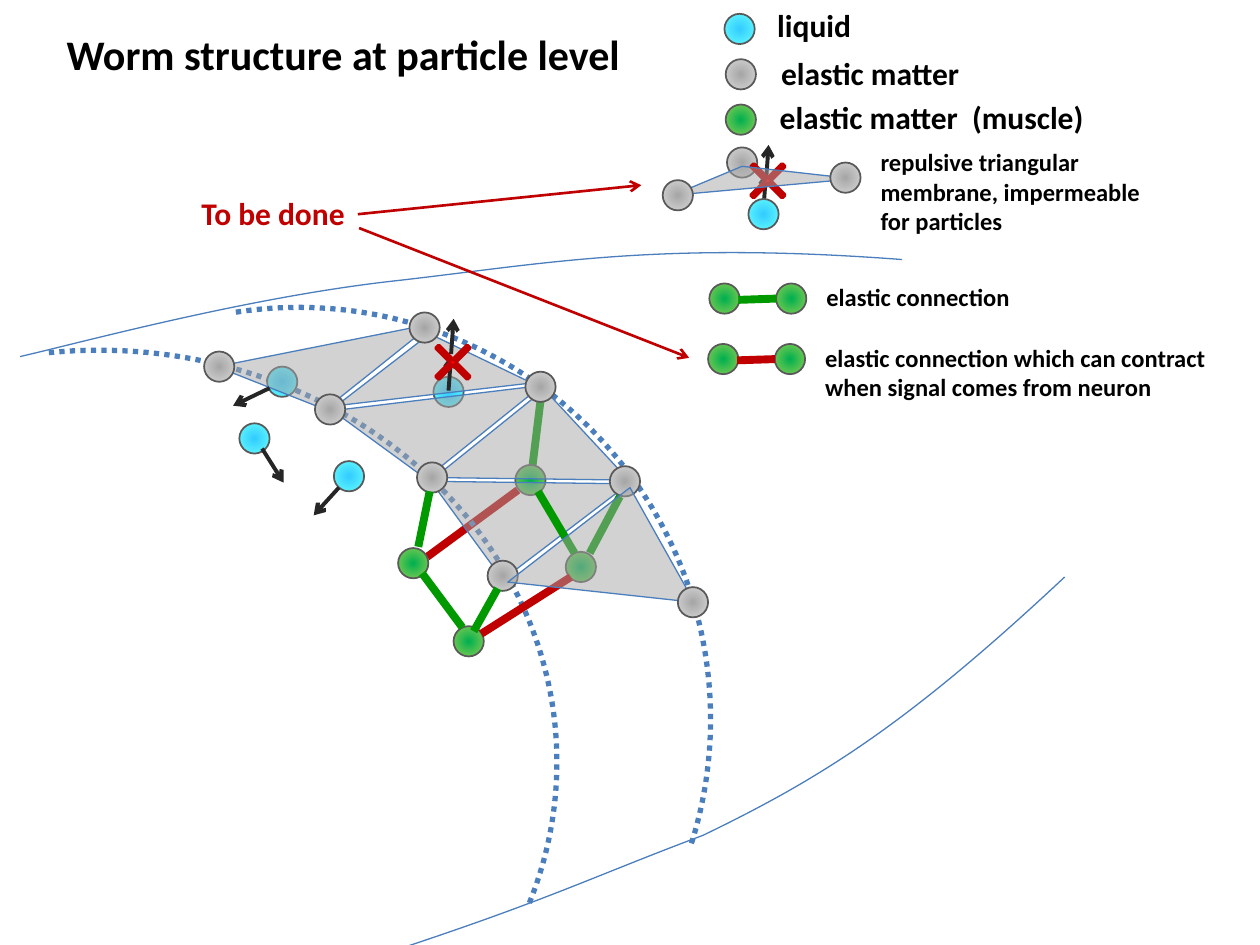
import lxml.etree
import pptx
import pptx.dml.color
import pptx.enum.dml
import pptx.enum.shapes
import pptx.enum.text
import pptx.oxml.ns
import pptx.util

RGBColor = pptx.dml.color.RGBColor
BLACK = RGBColor(0, 0, 0)
INK = RGBColor(0x26, 0x26, 0x26)
EDGE = RGBColor(0x59, 0x59, 0x59)
GREY = RGBColor(0xA6, 0xA6, 0xA6)
PALE_GREY = RGBColor(0xD9, 0xD9, 0xD9)
GREEN = RGBColor(0, 0xB0, 0x50)
PALE_GREEN = RGBColor(0x92, 0xD0, 0x50)
CYAN = RGBColor(0x33, 0xCC, 0xFF)
PALE_CYAN = RGBColor(0x66, 0xFF, 0xFF)
BLUE = RGBColor(0x4B, 0x7E, 0xBC)
LINK_GREEN = RGBColor(0, 0x99, 0)
RED = RGBColor(0xFF, 0, 0)
DARK_RED = RGBColor(0xC0, 0, 0)

ELASTIC = (GREY, PALE_GREY)
MUSCLE = (GREEN, PALE_GREEN)
LIQUID = (CYAN, PALE_CYAN)
BALL = 0.24
CROSS = 0.35

qn = pptx.oxml.ns.qn
presets = pptx.enum.shapes.MSO_SHAPE
deck = pptx.Presentation()
deck.slide_width = pptx.util.Inches(10)
deck.slide_height = pptx.util.Inches(7.5)
cell = deck.slide_width // 10
page = deck.slides.add_slide(deck.slide_layouts[6])


def outline(shape, color, width, arrow=False, dash=None):
    shape.line.color.rgb = color
    shape.line.width = pptx.util.Pt(width)
    if dash:
        shape.line.dash_style = dash
    props = shape._element.spPr
    if arrow:
        lxml.etree.SubElement(props.find(qn("a:ln")), qn("a:tailEnd"), type="arrow")
    lxml.etree.SubElement(props, qn("a:effectLst"))


def write(text, left, top, width, height, size=18, color=BLACK):
    box = page.shapes.add_textbox(*[int(v * cell) for v in (left, top, width, height)])
    frame = box.text_frame
    frame.word_wrap = False
    frame.auto_size = pptx.enum.text.MSO_AUTO_SIZE.SHAPE_TO_FIT_TEXT
    for number, line in enumerate(text.split("\n")):
        para = frame.paragraphs[0] if number == 0 else frame.add_paragraph()
        span = para.add_run()
        span.text = line
        span.font.name = "Calibri"
        span.font.size = pptx.util.Pt(size)
        span.font.bold = True
        span.font.color.rgb = color


layers = [
    ("link", DARK_RED, [(3.39, 4.42, 4.11, 3.89)]),
    ("ball", ELASTIC, [(5.77, 1.17)]),
    ("arc", (156.752, 10.545), [(-0.9, 2.44, 6.54, 6.54)]),
    ("arc", (157.824, 10.9), [(-2.85, 2.78, 7.27, 6.54)]),
    ("link", LINK_GREEN, [(4.22, 3.75, 4.29, 3.18)]),
    ("ball", MUSCLE, [(4.09, 3.69), (5.76, 0.83)]),
    ("ball", LIQUID, [(2.12, 2.91), (3.44, 2.99), (5.75, 0.11)]),
    ("ball", ELASTIC, [(5.76, 0.47)]),
    ("membrane", GREY, [
        (1.72, 2.91, 3.43, 2.57, 2.58, 3.25),
        (2.64, 3.26, 4.3, 3.06, 3.38, 3.8),
        (3.42, 3.82, 4.99, 3.84, 3.99, 4.6),
        (4.32, 3.09, 4.99, 3.81, 3.45, 3.79),
        (3.41, 2.65, 4.22, 3.04, 2.67, 3.22),
    ]),
    ("ball", ELASTIC, [(1.62, 2.79), (3.25, 2.48), (4.17, 2.95), (4.84, 3.7),
                       (2.5, 3.13), (3.31, 3.67), (3.87, 4.45)]),
    ("ball", LIQUID, [(1.9, 3.36), (2.65, 3.66)]),
    ("motion", INK, [(3.56, 3.1, 3.58, 2.82), (3.58, 2.81, 3.6, 2.53)]),
    ("cross", RED, [(3.42, 2.7)]),
    ("motion", INK, [(2.08, 3.56, 2.25, 3.83), (2.69, 3.87, 2.49, 4.09),
                     (2.14, 3.08, 1.85, 3.22)]),
    ("ball", MUSCLE, [(3.16, 4.35), (4.49, 4.38), (3.6, 4.97)]),
    ("link", LINK_GREEN, [(3.32, 4.34, 3.41, 3.9), (3.76, 5.01, 3.95, 4.67),
                          (4.68, 4.39, 4.92, 3.94)]),
    ("link", DARK_RED, [(3.82, 5.03, 4.53, 4.58)]),
    ("link", LINK_GREEN, [(3.35, 4.55, 3.67, 4.98), (4.27, 3.9, 4.56, 4.39)]),
    ("membrane", GREY, [(5, 3.87, 5.51, 4.78, 4.03, 4.62)]),
    ("ball", ELASTIC, [(5.38, 4.66)]),
    ("curve", BLUE, [
        (0.16, 2.83, 0.64, 2.72, 1.96, 2.36, 3.13, 2.23,
         4.29, 2.1, 5.18, 1.91, 7.16, 2.06),
        (2.71, 7.68, 4.31, 7.17, 4.62, 6.99, 5.58, 6.63,
         6.51, 6.18, 7.19, 5.76, 8.45, 4.58),
    ]),
    ("motion", INK, [(6.06, 1.65, 6.08, 1.37), (6.08, 1.43, 6.1, 1.15)]),
    ("cross", RED, [(5.92, 1.26)]),
    ("membrane", GREY, [(5.89, 1.32, 6.78, 1.42, 5.34, 1.55)]),
    ("ball", ELASTIC, [(5.26, 1.43), (6.59, 1.29)]),
    ("ball", LIQUID, [(5.94, 1.58)]),
    ("ball", MUSCLE, [(5.63, 2.25), (6.16, 2.25), (5.62, 2.73), (6.15, 2.73)]),
    ("link", LINK_GREEN, [(5.86, 2.38, 6.16, 2.37)]),
    ("link", DARK_RED, [(5.85, 2.86, 6.15, 2.85)]),
    ("pointer", DARK_RED, [(2.84, 1.7, 5.09, 1.47), (2.85, 1.81, 5.47, 2.84)]),
]
line_widths = {"link": 4.5, "motion": 2.25, "pointer": 1.5}

for kind, look, places in layers:
    for place in places:
        spot = [int(v * cell) for v in place]
        if kind in line_widths:
            line = page.shapes.add_connector(
                pptx.enum.shapes.MSO_CONNECTOR.STRAIGHT, *spot)
            outline(line, look, line_widths[kind], arrow=kind != "link")
        elif kind == "ball":
            size = int(BALL * cell)
            ball = page.shapes.add_shape(presets.OVAL, *spot, size, size)
            ball.fill.gradient()
            for stop, color in zip(ball.fill.gradient_stops, look):
                stop.color.rgb = color
            gradient = ball._element.spPr.find(qn("a:gradFill"))
            gradient.remove(gradient.find(qn("a:lin")))
            radial = lxml.etree.SubElement(gradient, qn("a:path"), path="circle")
            lxml.etree.SubElement(radial, qn("a:fillToRect"),
                                  l="50000", t="50000", r="50000", b="50000")
            outline(ball, EDGE, 1)
        elif kind == "cross":
            size = int(CROSS * cell)
            cross = page.shapes.add_shape(presets.CROSS, *spot, size, size)
            cross.adjustments[0] = 0.456
            cross.rotation = 45
            cross.fill.solid()
            cross.fill.fore_color.rgb = look
            outline(cross, DARK_RED, 2)
        elif kind == "arc":
            arc = page.shapes.add_shape(presets.ARC, *spot)
            for number, angle in enumerate(look):
                arc.adjustments[number] = angle
            arc.fill.background()
            outline(arc, BLUE, 3, dash=pptx.enum.dml.MSO_LINE.ROUND_DOT)
        else:
            points = list(zip(spot[::2], spot[1::2]))
            builder = page.shapes.build_freeform(*points[0])
            builder.add_line_segments(points[1:], close=kind == "membrane")
            form = builder.convert_to_shape()
            props = form._element.spPr
            if kind == "membrane":
                form.fill.solid()
                form.fill.fore_color.rgb = look
                tint = props.find(qn("a:solidFill")).find(qn("a:srgbClr"))
                lxml.etree.SubElement(tint, qn("a:alpha"), val="50000")
            else:
                form.fill.background()
                track = next(props.iter(qn("a:path")))
                steps = track.findall(qn("a:lnTo"))
                for first in range(0, len(steps), 3):
                    bend = lxml.etree.SubElement(track, qn("a:cubicBezTo"))
                    for step in steps[first:first + 3]:
                        bend.append(step[0])
                        track.remove(step)
            outline(form, BLUE, 0.75)

write("Worm structure at particle level", 0.43, 0.18, 4.64, 0.5, size=24)
write("liquid", 6.07, 0, 0.79, 0.4)
write("elastic matter", 6.1, 0.38, 1.69, 0.4)
write("elastic matter  (muscle)", 6.09, 0.73, 2.64, 0.4)
write("repulsive triangular\nmembrane, impermeable\nfor particles",
      6.89, 1.12, 2.32, 0.81, size=14)
write("elastic connection", 6.46, 2.19, 1.67, 0.34, size=14)
write("elastic connection which can contract\nwhen signal comes from neuron",
      6.45, 2.67, 3.29, 0.57, size=14)
write("To be done", 1.5, 1.49, 1.35, 0.4, color=DARK_RED)

deck.save("out.pptx")
